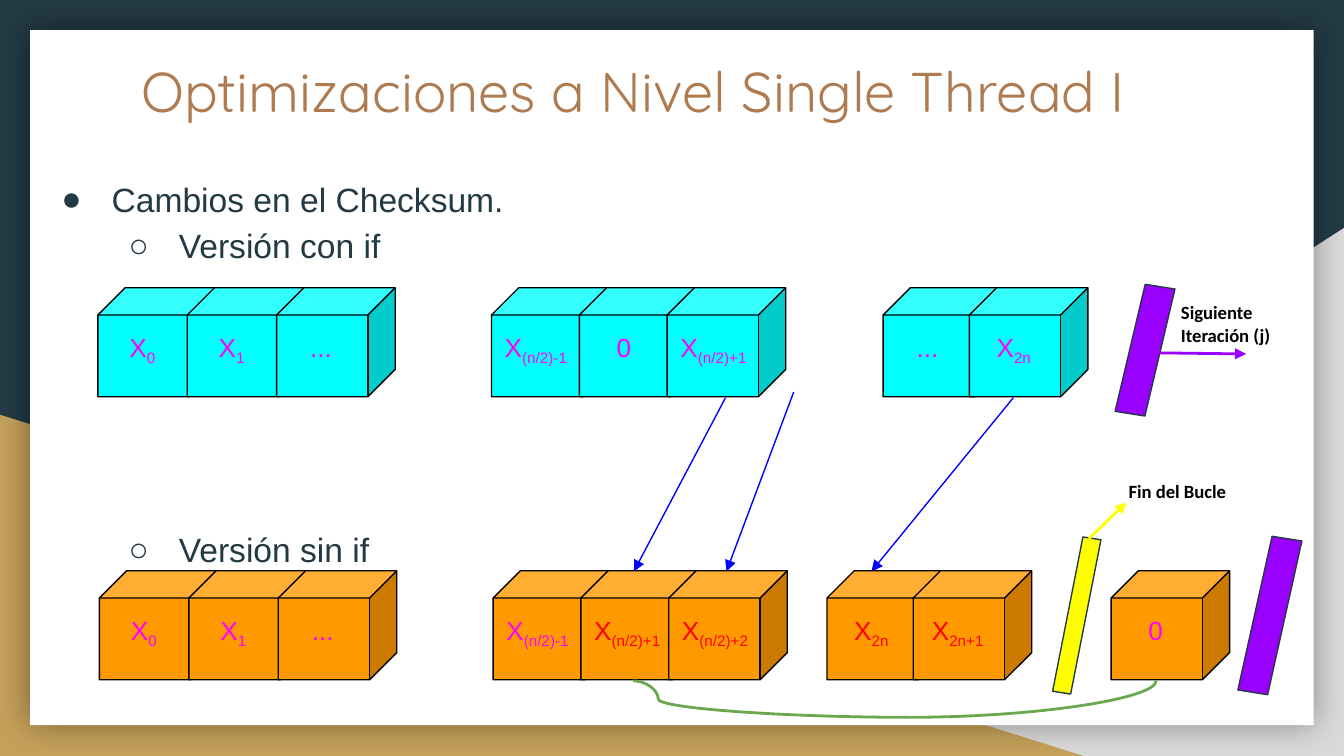
import dataclasses
import lxml.etree
import pptx
import pptx.dml.color
import pptx.enum.shapes
import pptx.enum.text
import pptx.oxml.ns
import pptx.util

Cm = pptx.util.Cm
Pt = pptx.util.Pt
Kind = pptx.enum.shapes.MSO_SHAPE
Join = pptx.enum.shapes.MSO_CONNECTOR
Align = pptx.enum.text.PP_ALIGN
qn = pptx.oxml.ns.qn


@dataclasses.dataclass(frozen=True)
class Theme:
    navy: str = "233A44"
    gray: str = "D9D9D9"
    gold: str = "C4A15A"
    white: str = "FFFFFF"
    brown: str = "AF7B51"
    black: str = "000000"
    cyan: str = "00FFFF"
    orange: str = "FF9900"
    pink: str = "FF00FF"
    red: str = "FF0000"
    blue: str = "0000FF"
    green: str = "6AA84F"
    purple: str = "9900FF"
    yellow: str = "FFFF00"
    head: str = "Quicksand"
    main: str = "Arial"
    note: str = "Calibri"
    title: int = 30
    body: int = 18
    cell: int = 14
    small: int = 10
    thin: float = 0.75
    thick: float = 1.5


def tint(code):
    return pptx.dml.color.RGBColor.from_string(code)


def put(item, values):
    for name, value in values.items():
        setattr(item, name, value)


def node(root, tag, **attrs):
    return lxml.etree.SubElement(root, qn(tag), attrs)


class Deck:
    def __init__(self, theme):
        self.theme = theme
        self.file = pptx.Presentation()
        put(self.file, {"slide_width": Cm(25.4), "slide_height": Cm(14.29)})
        self.slide = self.file.slides.add_slide(self.file.slide_layouts[1])
        self.shapes = self.slide.shapes
        fill = self.slide.background.fill
        fill.solid()
        fill.fore_color.rgb = tint(theme.navy)

    def frame(self, shape):
        frame = shape.text_frame
        put(frame, {"word_wrap": True,
                    "auto_size": pptx.enum.text.MSO_AUTO_SIZE.NONE,
                    "vertical_anchor": pptx.enum.text.MSO_ANCHOR.TOP})
        for side in ("left", "right", "top", "bottom"):
            setattr(frame, "margin_" + side, Cm(0.25))
        return frame

    def run(self, para, text, font, size, color, bold=False, base=None):
        run = para.add_run()
        run.text = text
        put(run.font, {"name": font, "size": Pt(size), "bold": bold})
        run.font.color.rgb = tint(color)
        if base:
            run.font._element.set("baseline", base)

    def place(self, shape, box):
        names = ("left", "top", "width", "height")
        put(shape, dict(zip(names, map(Cm, box))))
        self.shapes._spTree.append(shape.element)

    def title(self, box, text):
        look = self.theme
        shape = self.shapes.title
        self.place(shape, box)
        para = self.frame(shape).paragraphs[0]
        para.alignment = Align.LEFT
        self.run(para, text, look.head, look.title, look.brown)

    def list(self, box, items):
        look = self.theme
        shape = self.slide.placeholders[1]
        self.place(shape, box)
        frame = self.frame(shape)
        for spot, (text, level, gap) in enumerate(items):
            para = frame.add_paragraph() if spot else frame.paragraphs[0]
            put(para, {"level": level, "line_spacing": 1.15,
                       "space_before": Pt(gap), "space_after": Pt(0),
                       "alignment": Align.LEFT})
            props = para._p.get_or_add_pPr()
            props.set("marL", str(Cm(1.27 * (level + 1))))
            props.set("indent", str(Cm(-0.95)))
            node(node(props, "a:buClr"), "a:srgbClr", val=look.navy)
            node(props, "a:buChar", char="●○"[level])
            self.run(para, text, look.main, look.body, look.navy)

    def shape(self, kind, box, color, edge=None, turn=0, flip=False):
        shape = self.shapes.add_shape(kind, *map(Cm, box))
        shape.shadow.inherit = False
        shape.rotation = turn
        shape.fill.solid()
        shape.fill.fore_color.rgb = tint(color)
        if edge:
            shape.line.color.rgb = tint(edge)
            shape.line.width = Pt(self.theme.thin)
        else:
            shape.line.fill.background()
        if flip:
            shape.element.spPr.xfrm.set("flipH", "1")
        return shape

    def card(self, box):
        look = self.theme
        shape = self.shape(Kind.RECTANGLE, box, look.white)
        glow = node(shape.element.spPr.find(qn("a:effectLst")), "a:outerShdw",
                    blurRad=str(Pt(18)), dist="0", dir="0", rotWithShape="0")
        color = node(glow, "a:srgbClr", val=look.black)
        node(color, "a:alpha", val="40000")

    def cell(self, left, top, color, label, ink):
        look = self.theme
        self.shape(Kind.CUBE, (left, top, 2.24, 2.06), color, look.black)
        base, sub = label
        wide = sub.startswith("(")
        size = (2.24 if wide else 1.68, 2.06)
        box = self.shapes.add_textbox(*map(Cm, (left, top, *size)))
        frame = self.frame(box)
        frame.margin_top = Cm(0.82)
        para = frame.paragraphs[0]
        para.alignment = Align.LEFT if wide else Align.CENTER
        self.run(para, base, look.main, look.cell, ink)
        if sub:
            self.run(para, sub, look.main, look.cell, ink, base="-25000")

    def row(self, left, top, step, color, cells):
        for spot, (label, ink) in enumerate(cells):
            self.cell(left + spot * step, top, color, label, ink)

    def line(self, ends, color, width, kind=Join.STRAIGHT, tip=True):
        line = self.shapes.add_connector(kind, *map(Cm, ends))
        line.line.color.rgb = tint(color)
        line.line.width = Pt(width)
        if tip:
            node(line.line._get_or_add_ln(), "a:tailEnd", type="triangle")
        node(line._element.spPr, "a:effectLst")
        return line

    def curve(self, ends, preset, bend=None):
        look = self.theme
        line = self.line(ends, look.green, look.thick, Join.CURVE, False)
        geom = line._element.spPr.find(qn("a:prstGeom"))
        geom.set("prst", preset)
        if bend:
            node(geom.find(qn("a:avLst")), "a:gd", name="adj1", fmla=f"val {bend}")

    def bar(self, box, color):
        self.shape(Kind.PARALLELOGRAM, box, color, self.theme.navy, 8.9)

    def note(self, box, text):
        look = self.theme
        para = self.frame(self.shapes.add_textbox(*map(Cm, box))).paragraphs[0]
        self.run(para, text, look.note, look.small, look.black, True)


def main():
    look = Theme()
    deck = Deck(look)
    deck.shape(Kind.RIGHT_TRIANGLE, (9.96, 4.31, 15.44, 9.98), look.gray, flip=True)
    deck.shape(Kind.RIGHT_TRIANGLE, (0, 7.84, 20.48, 6.45), look.gold)
    deck.card((0.57, 0.57, 24.26, 13.14))
    deck.title((2.42, 0.82, 20.14, 1.62), "Optimizaciones a Nivel Single Thread I")
    deck.list((0.59, 3.02, 12.24, 9.86), [("Cambios en el Checksum.", 0, 0),
                                          ("Versión con if", 1, 0),
                                          ("Versión sin if", 1, 138)])

    pink, red = look.pink, look.red
    start = [(("X", "0"), pink), (("X", "1"), pink), (("...", ""), pink)]
    prev = (("X", "(n/2)-1"), pink)
    zero = (("0", ""), pink)
    rows = [
        (1.85, 5.44, 1.69, look.cyan, start),
        (9.29, 5.44, 1.66, look.cyan, [prev, zero, (("X", "(n/2)+1"), pink)]),
        (16.69, 5.44, 1.63, look.cyan, [(("...", ""), pink), (("X", "2n"), pink)]),
        (1.88, 10.79, 1.69, look.orange, start),
        (9.32, 10.79, 1.66, look.orange,
         [prev, (("X", "(n/2)+1"), red), (("X", "(n/2)+2"), red)]),
        (15.63, 10.79, 1.63, look.orange, [(("X", "2n"), red), (("X", "2n+1"), red)]),
        (21, 10.79, 0, look.orange, [zero]),
    ]
    for row in rows:
        deck.row(*row)

    for ends in ((13.71, 7.52, 11.98, 10.8), (15, 7.41, 13.73, 10.8),
                 (19.15, 7.52, 16.47, 10.8)):
        deck.line(ends, look.blue, look.thin)
    deck.curve((11.97, 12.87, 17.21, 13.56), "curvedConnector3", 9000)
    deck.curve((17.21, 13.56, 21.85, 12.87), "curvedConnector2")

    deck.bar((21.26, 5.39, 0.76, 2.46), look.purple)
    deck.line((21.91, 6.67, 23.55, 6.69), look.purple, look.thick)
    deck.note((22.07, 5.44, 2.24, 0.58), "Siguiente Iteración (j)")
    deck.bar((23.62, 10.15, 0.76, 2.97), look.purple)
    deck.bar((20.12, 10.15, 0.46, 2.97), look.yellow)
    deck.line((20.58, 10.18, 21.29, 9.5), look.yellow, look.thick)
    deck.note((21.08, 8.82, 2.41, 0.68), "Fin del Bucle")
    deck.file.save("out.pptx")


if __name__ == "__main__":
    main()
